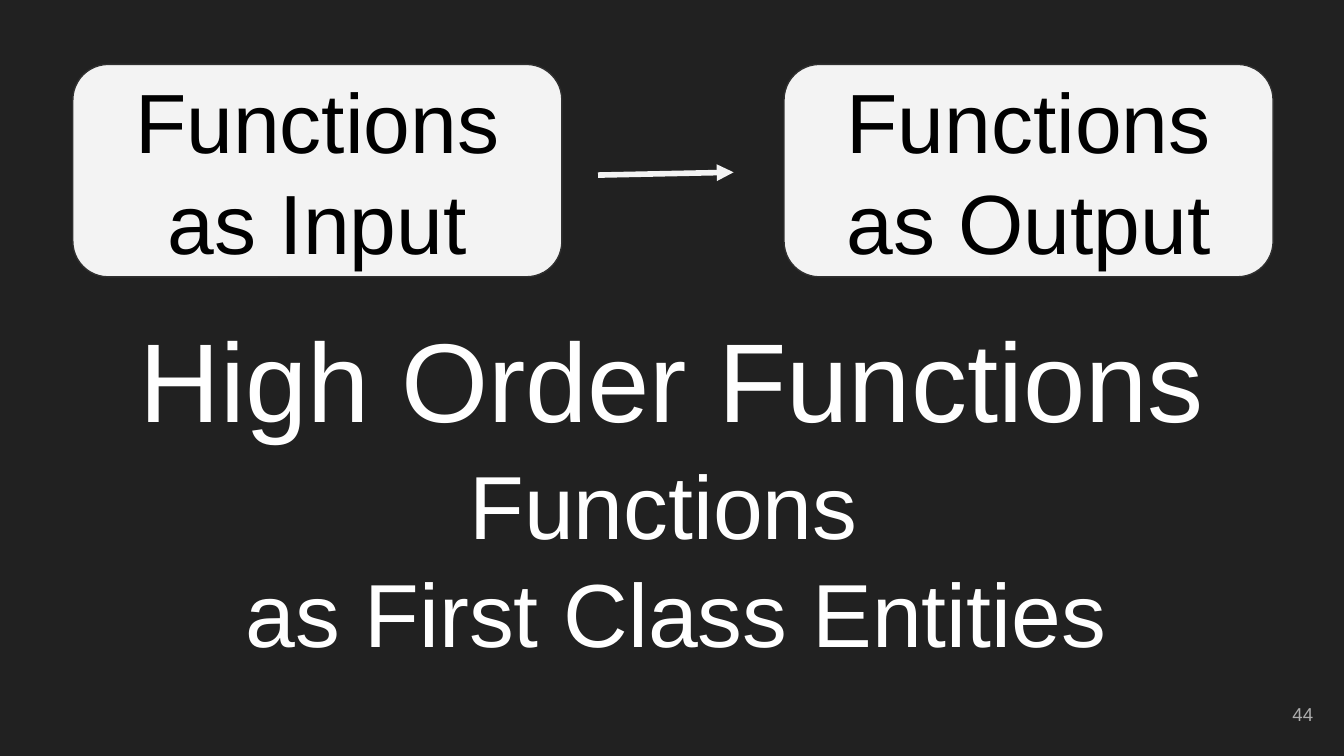
from typing import NamedTuple

import pptx
import pptx.dml.color
import pptx.enum.shapes
import pptx.enum.text
import pptx.oxml
import pptx.oxml.ns
import pptx.util

Pt = pptx.util.Pt
ALIGN = pptx.enum.text.PP_ALIGN
FONT = "Arial"
COLORS = {
    "background": "212121",
    "title": "FFFFFF",
    "card": "F3F3F3",
    "card_line": "303030",
    "card_text": "000000",
    "page": "ADADAD",
}


class Box(NamedTuple):
    left: float
    top: float
    width: float
    height: float


class Label(NamedTuple):
    text: str
    box: Box
    size: float
    color: str
    align: ALIGN = ALIGN.CENTER


CARD_TOP, CARD_WIDTH, CARD_HEIGHT = 34.5, 262, 113.8
TITLE = Label("High Order Functions", Box(24.5, 169.4, 671, 66.2), 60, "title")
SUBTITLE = Label("Functions \nas First Class Entities",
                 Box(9.4, 265.7, 705.6, 66.2), 48, "title")
PAGE = Label("44", Box(667.4, 367.2, 43.2, 31), 10, "page", ALIGN.RIGHT)
CARDS = [
    Label(text, Box(left, CARD_TOP, CARD_WIDTH, CARD_HEIGHT), 45, "card_text")
    for text, left in (("Functions as Input", 39), ("Functions as Output", 420))
]


def rgb(name: str) -> pptx.dml.color.RGBColor:
    return pptx.dml.color.RGBColor.from_string(COLORS[name])


def lengths(box: Box) -> list:
    return [Pt(v) for v in box]


def write(shape, label: Label) -> None:
    tf = shape.text_frame
    tf.text = label.text
    tf.word_wrap = True
    tf.auto_size = pptx.enum.text.MSO_AUTO_SIZE.NONE
    tf.vertical_anchor = pptx.enum.text.MSO_ANCHOR.MIDDLE
    tf.margin_left = tf.margin_right = tf.margin_top = tf.margin_bottom = Pt(7.2)
    for p in tf.paragraphs:
        p.alignment = label.align
        for r in p.runs:
            r.font.name = FONT
            r.font.size = Pt(label.size)
            r.font.color.rgb = rgb(label.color)


def add_title(s, label: Label) -> None:
    sp = s.shapes.title
    sp.left, sp.top, sp.width, sp.height = lengths(label.box)
    write(sp, label)


def add_text(s, label: Label) -> None:
    write(s.shapes.add_textbox(*lengths(label.box)), label)


def add_card(s, label: Label) -> None:
    kind = pptx.enum.shapes.MSO_SHAPE.ROUNDED_RECTANGLE
    sp = s.shapes.add_shape(kind, *lengths(label.box))
    sp.shadow.inherit = False
    sp.fill.solid()
    sp.fill.fore_color.rgb = rgb("card")
    sp.line.color.rgb = rgb("card_line")
    sp.line.width = Pt(0.75)
    write(sp, label)


def add_arrow(s, x1: float, y1: float, x2: float, y2: float) -> None:
    kind = pptx.enum.shapes.MSO_CONNECTOR.STRAIGHT
    line = s.shapes.add_connector(kind, Pt(x1), Pt(y1), Pt(x2), Pt(y2))
    line.line.color.rgb = rgb("card")
    line.line.width = Pt(3)
    qn = pptx.oxml.ns.qn
    tail = pptx.oxml.parse_xml(
        f'<a:tailEnd {pptx.oxml.ns.nsdecls("a")} type="triangle"/>')
    line.line._get_or_add_ln().append(tail)
    line._element.spPr.append(
        pptx.oxml.parse_xml(f'<a:effectLst {pptx.oxml.ns.nsdecls("a")}/>'))


def main() -> None:
    prs = pptx.Presentation()
    prs.slide_width, prs.slide_height = Pt(720), Pt(405)
    s = prs.slides.add_slide(prs.slide_layouts.get_by_name("Title Only"))
    s.background.fill.solid()
    s.background.fill.fore_color.rgb = rgb("background")

    add_title(s, TITLE)
    add_text(s, SUBTITLE)
    for card in CARDS:
        add_card(s, card)
    add_arrow(s, 320.4, 93.8, 393, 92.3)
    add_text(s, PAGE)
    prs.save("out.pptx")


if __name__ == "__main__":
    main()
